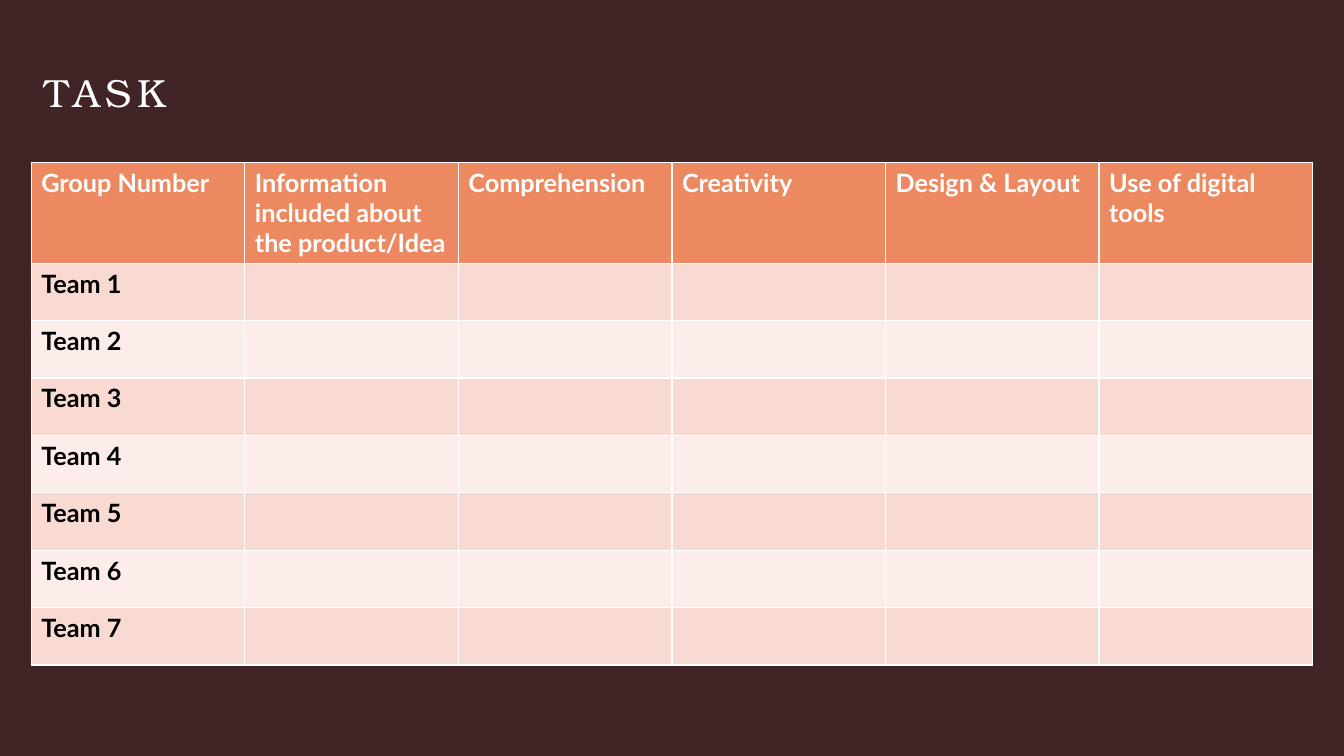
import pptx
import pptx.dml.color
import pptx.enum.text
import pptx.util

IN = pptx.util.Inches


def paint(fill, shade):
    fill.solid()
    fill.fore_color.rgb = pptx.dml.color.RGBColor.from_string(shade)


def style(para, face, size, shade, bold):
    para.font.name = face
    para.font.size = pptx.util.Pt(size)
    para.font.bold = bold
    paint(para.font.fill, shade)


deck = pptx.Presentation()
deck.slide_width, deck.slide_height = IN(13.33), IN(7.5)
slide = deck.slides.add_slide(deck.slide_layouts[5])
paint(slide.background.fill, "412425")

# Title
title = slide.shapes.title
title.left, title.top, title.width, title.height = IN(0.44), IN(0.68), IN(10.97), IN(0.72)
frame = title.text_frame
frame.text = "TASK"
frame.margin_left = frame.margin_right = frame.margin_top = frame.margin_bottom = 0
frame.vertical_anchor = pptx.enum.text.MSO_ANCHOR.TOP
head = frame.paragraphs[0]
head.alignment = pptx.enum.text.PP_ALIGN.LEFT
style(head, "TeX Gyre Bonum", 28, "FFFFFF", False)
head.runs[0].font._element.set("spc", "400")

# Score table: the default table style draws the white rules
labels = ["Group Number", "Information included about the product/Idea", "Comprehension",
          "Creativity", "Design & Layout", "Use of digital tools"]
teams = 7
bands = ["FCEDEA", "F8DAD2"]
grid = slide.shapes.add_table(teams + 1, len(labels), IN(0.31), IN(1.61),
                              IN(12.71), IN(4.99)).table
grid.first_col = False

for row, line in enumerate(grid.rows):
    line.height = IN(0.57 if row else 0.98)
    texts = [f"Team {row}"] + [""] * (len(labels) - 1) if row else labels
    for cell, text in zip(line.cells, texts):
        cell.text = text
        paint(cell.fill, bands[row % 2] if row else "ED8961")
        style(cell.text_frame.paragraphs[0], "Lato", 18, "000000" if row else "FFFFFF", True)

deck.save("out.pptx")
